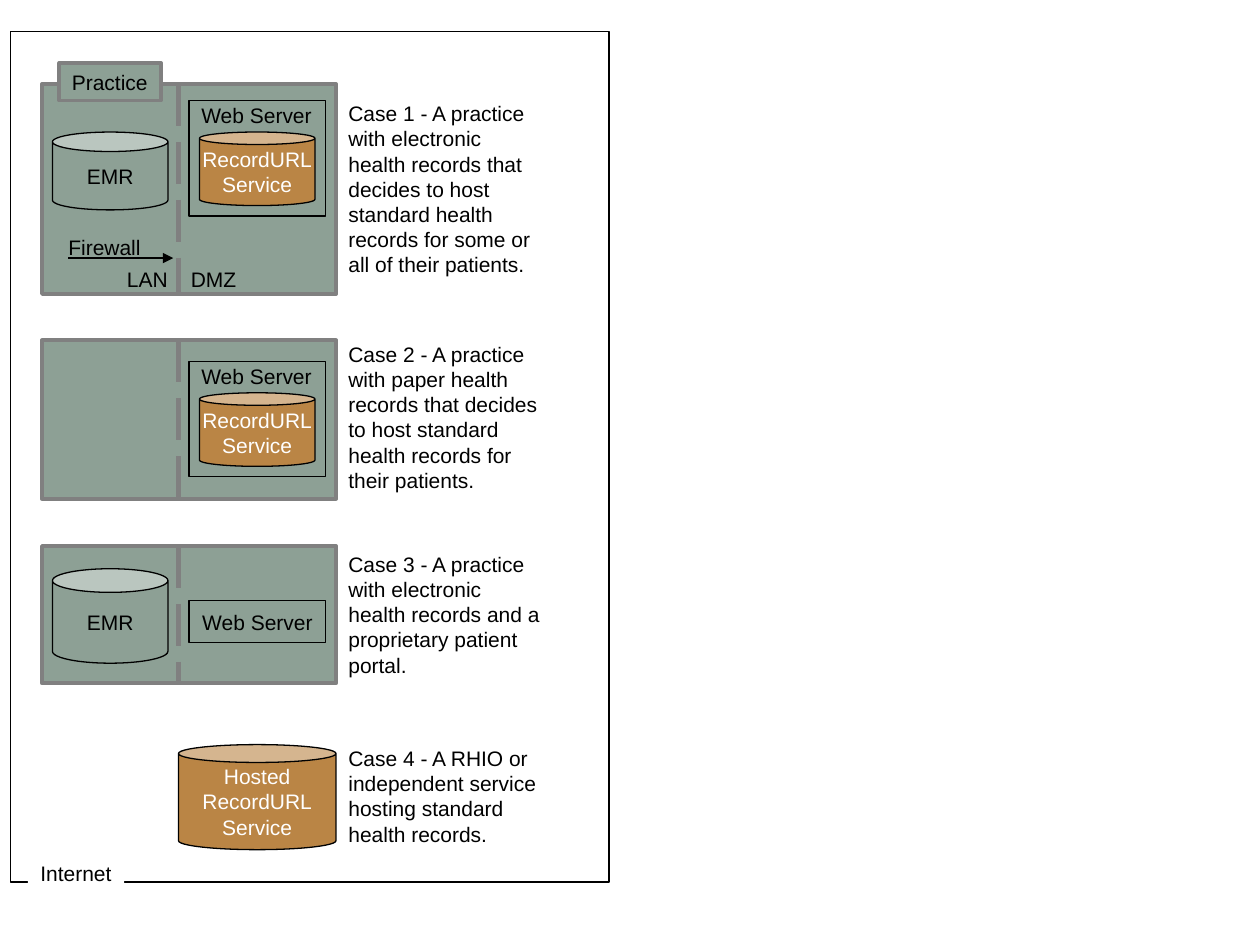
"""Build a slide that shows four ways to host standard health records."""
from lxml import etree
from pptx import Presentation
from pptx.dml.color import RGBColor
from pptx.enum.dml import MSO_LINE
from pptx.enum.shapes import MSO_CONNECTOR, MSO_SHAPE
from pptx.enum.text import MSO_ANCHOR, MSO_AUTO_SIZE, PP_ALIGN
from pptx.oxml.ns import qn
from pptx.util import Pt

RECT, CAN = MSO_SHAPE.RECTANGLE, MSO_SHAPE.CAN
STRAIGHT, DASH = MSO_CONNECTOR.STRAIGHT, MSO_LINE.LONG_DASH
TOP, MIDDLE = MSO_ANCHOR.TOP, MSO_ANCHOR.MIDDLE
LEFT, CENTER = PP_ALIGN.LEFT, PP_ALIGN.CENTER
GROW = MSO_AUTO_SIZE.SHAPE_TO_FIT_TEXT

BLACK = RGBColor(0x00, 0x00, 0x00)
WHITE = RGBColor(0xFF, 0xFF, 0xFF)
GRAY = RGBColor(0x80, 0x80, 0x80)
SAGE = RGBColor(0x8D, 0xA0, 0x95)
OCHRE = RGBColor(0xBA, 0x85, 0x45)

FONT, SIZE = "Arial", 12
ROW = 21.5
WALL = 102
NOTE_X = 192


def write(shape, text, color=BLACK, align=LEFT, wrap=False, tab=None):
    frame = shape.text_frame
    frame.word_wrap = wrap
    frame.text = text
    for para in frame.paragraphs:
        para.alignment = align
        if tab:
            stops = etree.SubElement(para._p.get_or_add_pPr(), qn("a:tabLst"))
            etree.SubElement(stops, qn("a:tab"), pos=str(Pt(tab)), algn="l")
        para.font.name = FONT
        para.font.size = Pt(SIZE)
        para.font.color.rgb = color


def add_form(shapes, kind, box, fill=None, line=BLACK, width=0.75):
    form = shapes.add_shape(kind, *map(Pt, box))
    form.shadow.inherit = False
    if fill is None:
        form.fill.background()
    else:
        form.fill.solid()
        form.fill.fore_color.rgb = fill
    if line is None:
        form.line.fill.background()
    else:
        form.line.color.rgb = line
        form.line.width = Pt(width)
    return form


def add_store(shapes, box, text, fill, color, depth):
    can = add_form(shapes, CAN, box, fill)
    can.adjustments[0] = depth
    can.text_frame.vertical_anchor = MIDDLE
    write(can, text, color, CENTER)


def add_tag(shapes, box, text, fill, line):
    tag = add_form(shapes, RECT, box, fill, line, 2.25)
    tag.text_frame.vertical_anchor = TOP
    write(tag, text)
    tag.text_frame.auto_size = GROW


def add_label(shapes, box, text, wrap=False, tab=None):
    label = shapes.add_textbox(*map(Pt, box))
    write(label, text, wrap=wrap, tab=tab)
    label.text_frame.auto_size = GROW


def add_line(shapes, ends, color, width):
    line = shapes.add_connector(STRAIGHT, *map(Pt, ends))
    line.line.color.rgb = color
    line.line.width = Pt(width)
    etree.SubElement(line._element.spPr, qn("a:effectLst"))
    return line


def add_arrow(shapes, ends):
    arrow = add_line(shapes, ends, BLACK, 0.75)
    etree.SubElement(arrow.line._get_or_add_ln(), qn("a:tailEnd"), type="triangle")


def add_site(slide, top, height):
    shapes = slide.shapes.add_group_shape().shapes
    add_form(shapes, RECT, (24, top, 168, height), SAGE, GRAY, 2.25)
    wall = add_line(shapes, (WALL, top, WALL, top + height), GRAY, 3)
    wall.line.dash_style = DASH
    return shapes


def add_emr(shapes, top, height):
    add_store(shapes, (30, top, 66, height), "EMR", SAGE, BLACK, 0.25)


def add_server(shapes, top):
    add_store(shapes, (114, top + 18, 66, 42), "RecordURL\nService", OCHRE, WHITE, 0.17)
    add_form(shapes, RECT, (108, top, 78, 66))
    add_label(shapes, (108, top - 2.5, 78, ROW), "Web Server")


def add_note(slide, top, height, text, width=126):
    add_label(slide.shapes, (NOTE_X, top, width, height), text, wrap=True)


def main():
    deck = Presentation()
    deck.slide_width, deck.slide_height = Pt(720), Pt(540)
    slide = deck.slides.add_slide(deck.slide_layouts[6])

    paper = add_site(slide, 194.5, 90.5)
    add_server(paper, 206.5)

    portal = add_site(slide, 312, 78.5)
    add_emr(portal, 325, 54)
    add_form(portal, RECT, (108, 343, 78, 24))
    add_label(portal, (108.5, 344.5, 78, ROW), "Web Server")

    full = add_site(slide, 48, 120)
    add_tag(full, (34, 36, 58, ROW), "Practice", SAGE, GRAY)
    add_emr(full, 75.5, 44.5)
    add_server(full, 57.5)
    add_label(full, (65.5, 149, 77, ROW), "LAN\tDMZ", tab=36.5)
    add_label(full, (32, 130.5, 56, ROW), "Firewall")
    add_arrow(full, (39, 147.5, 99, 147.5))

    add_store(slide.shapes, (WALL, 425.5, 90, 60),
              "Hosted\nRecordURL\nService", OCHRE, WHITE, 0.17)
    add_note(slide, 54, 108, "Case 1 - A practice with electronic health records that "
             "decides to host standard health records for some or all of their patients.")
    add_note(slide, 191.5, 93.5, "Case 2 - A practice with paper health records that "
             "decides to host standard health records for their patients.")
    add_note(slide, 311.5, 79, "Case 3 - A practice with electronic health records "
             "and a proprietary patient portal.")
    add_form(slide.shapes, RECT, (6, 18, 342, 486))
    add_tag(slide.shapes, (16, 488, 55, ROW), "Internet", WHITE, None)
    add_note(slide, 422.5, 65, "Case 4 - A RHIO or independent service hosting "
             "standard health records.", 132)
    deck.save("out.pptx")


if __name__ == "__main__":
    main()
